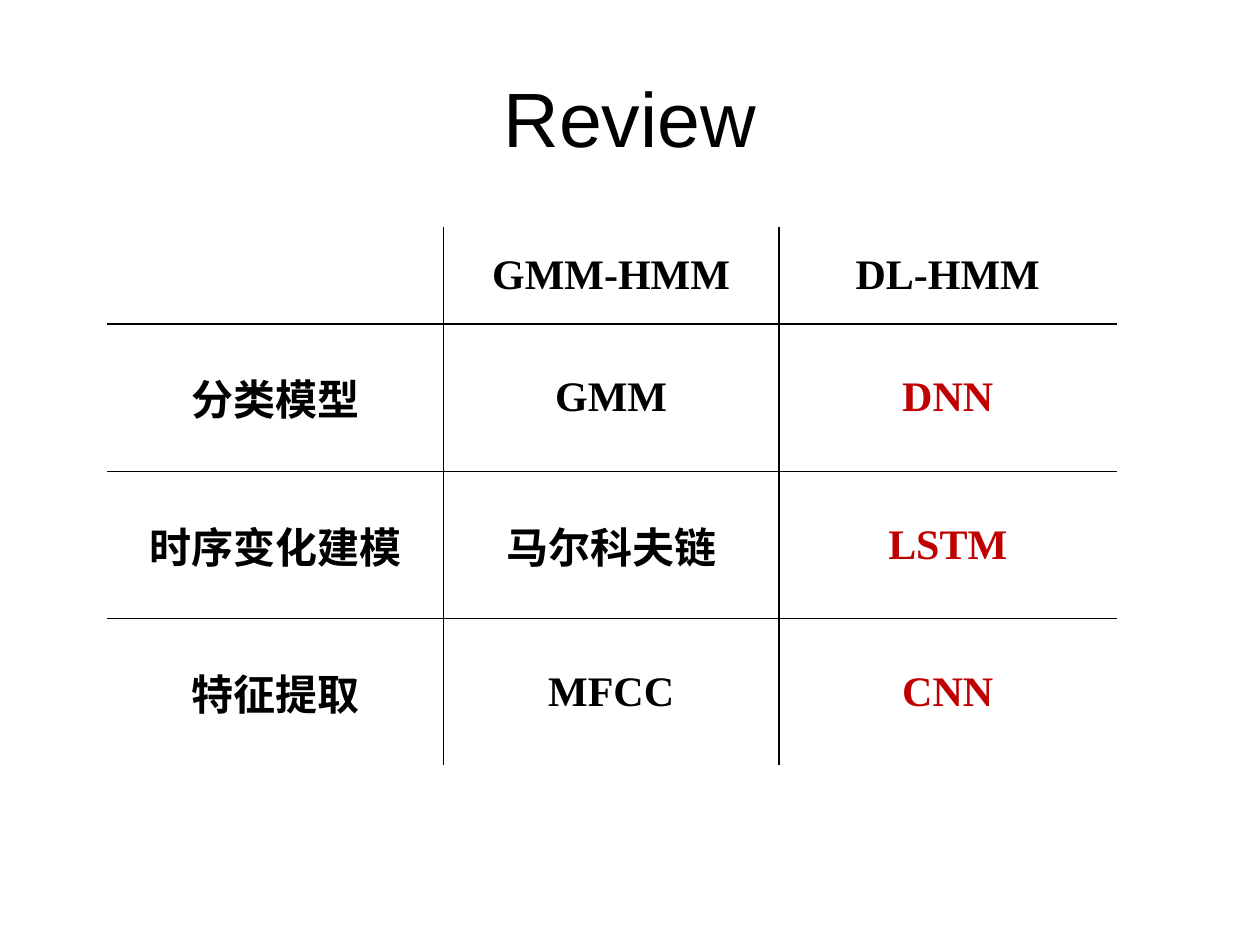
from dataclasses import dataclass

import pptx
import pptx.dml.color
import pptx.enum.text
import pptx.oxml
import pptx.oxml.ns
import pptx.util

Cm = pptx.util.Cm
Pt = pptx.util.Pt


@dataclass(frozen=True)
class Theme:
    ink: str = "000000"
    accent: str = "C00000"
    paper: str = "FFFFFF"
    title_font: str = "Arial"
    table_font: str = "Times New Roman"
    title_size: int = 44
    table_size: int = 24
    rule_width: int = 1


THEME = Theme()

COMPARISON = [
    ["", "GMM-HMM", "DL-HMM"],
    ["分类模型", "GMM", "DNN"],
    ["时序变化建模", "马尔科夫链", "LSTM"],
    ["特征提取", "MFCC", "CNN"],
]
COLUMN_WIDTHS = [6.76, 6.76, 6.81]
ROW_HEIGHTS = [1.94, 2.97, 2.97, 2.97]


def write_centred(text_frame, text, font_name, size, color, bold=False):
    text_frame.text = text
    paragraph = text_frame.paragraphs[0]
    paragraph.alignment = pptx.enum.text.PP_ALIGN.CENTER
    for font in [paragraph.font] + [run.font for run in paragraph.runs]:
        font.name = font_name
        font.size = Pt(size)
        font.bold = bold
        font.color.rgb = pptx.dml.color.RGBColor.from_string(color)


def add_border(cell, side, color):
    """Add one border; side is L, R, T or B, added in that order."""
    cell._tc.get_or_add_tcPr().append(pptx.oxml.parse_xml(
        f'<a:ln{side} {pptx.oxml.ns.nsdecls("a")} w="{Pt(THEME.rule_width)}">'
        f'<a:solidFill><a:srgbClr val="{color}"/></a:solidFill></a:ln{side}>'))


def add_title(slide, left, top, width, height):
    title = slide.shapes.add_textbox(Cm(left), Cm(top), Cm(width), Cm(height))
    title.text_frame.word_wrap = True
    title.text_frame.vertical_anchor = pptx.enum.text.MSO_ANCHOR.MIDDLE
    write_centred(title.text_frame, "Review", THEME.title_font,
                  THEME.title_size, THEME.ink)


def add_comparison(slide, left, top):
    """Add the model table, ruled in ink inside and in paper colour around."""
    last_row, last_column = len(ROW_HEIGHTS) - 1, len(COLUMN_WIDTHS) - 1
    comparison = slide.shapes.add_table(
        len(ROW_HEIGHTS), len(COLUMN_WIDTHS), Cm(left), Cm(top),
        Cm(sum(COLUMN_WIDTHS)), Cm(sum(ROW_HEIGHTS))).table
    comparison.first_row = comparison.horz_banding = False
    for column, width in zip(comparison.columns, COLUMN_WIDTHS):
        column.width = Cm(width)
    for row, height in zip(comparison.rows, ROW_HEIGHTS):
        row.height = Cm(height)

    for r, entries in enumerate(COMPARISON):
        for c, entry in enumerate(entries):
            cell = comparison.cell(r, c)
            cell.vertical_anchor = pptx.enum.text.MSO_ANCHOR.MIDDLE
            outer_sides = {"L": c == 0, "R": c == last_column,
                           "T": r == 0, "B": r == last_row}
            for side, is_outer in outer_sides.items():
                add_border(cell, side, THEME.paper if is_outer else THEME.ink)
            cell.fill.background()
            is_deep_model = r > 0 and c == last_column
            write_centred(cell.text_frame, entry, THEME.table_font,
                          THEME.table_size,
                          THEME.accent if is_deep_model else THEME.ink,
                          bold=True)


def main():
    presentation = pptx.Presentation()
    presentation.slide_width = Cm(25.4)
    presentation.slide_height = Cm(19.05)
    slide = presentation.slides.add_slide(presentation.slide_layouts[6])
    add_title(slide, 1.27, 0.76, 22.86, 3.18)
    add_comparison(slide, 2.18, 4.59)
    presentation.save("out.pptx")


if __name__ == "__main__":
    main()
